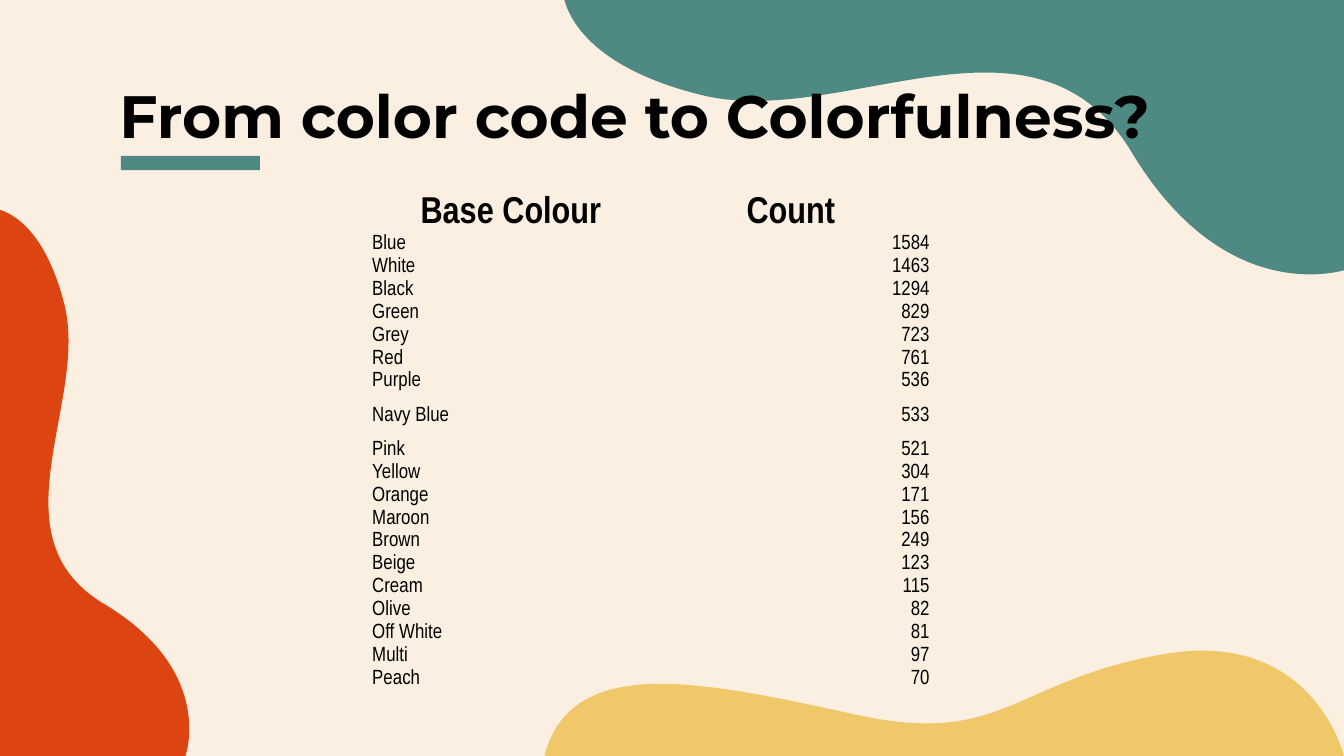
from dataclasses import dataclass

from lxml import etree
from pptx import Presentation
from pptx.dml.color import RGBColor
from pptx.enum import shapes, text
from pptx.oxml.ns import qn
from pptx.util import Pt


@dataclass(frozen=True)
class Theme:
    cream: RGBColor = RGBColor.from_string("FAEFE0")
    red: RGBColor = RGBColor.from_string("DC4412")
    yellow: RGBColor = RGBColor.from_string("F0C86A")
    teal: RGBColor = RGBColor.from_string("4E8983")
    ink: RGBColor = RGBColor.from_string("000000")
    title_font: str = "Montserrat"
    table_font: str = "Arial Narrow"
    title_size: int = 32
    header_size: int = 20
    body_size: int = 11


theme = Theme()
NO_TABLE_STYLE = "{2D5ABB26-0587-4C30-8999-92F81FD0307C}"


def bend_segments(shape, curve_count):
    """Turn each leading triple of line segments into one cubic curve."""
    lines = list(shape._element.iter(qn("a:lnTo")))
    for first in range(0, curve_count * 3, 3):
        triple = lines[first:first + 3]
        curve = etree.Element(qn("a:cubicBezTo"))
        triple[0].addprevious(curve)
        for line in triple:
            curve.append(line[0])
            line.getparent().remove(line)


def style_text(paragraph, font_name, size, bold):
    for run in paragraph.runs:
        run.font.name = font_name
        run.font.size = Pt(size)
        run.font.bold = bold
        run.font.color.rgb = theme.ink


presentation = Presentation()
presentation.slide_width, presentation.slide_height = Pt(720), Pt(405)
slide = presentation.slides.add_slide(presentation.slide_layouts[6])
slide.background.fill.solid()
slide.background.fill.fore_color.rgb = theme.cream

# Wavy blobs: colour, start, curves (two controls and an end each), closing corner
blobs = [
    (theme.red, (-4.3, 111.6), [
        ((-4.3, 111.6), (21.6, 111.6), (34.6, 163.4)),
        ((47.5, 215.3), (-4.3, 287.3), (55.4, 323.3)),
        ((115.9, 359.3), (99.4, 405), (99.4, 405)),
    ], (-4.3, 405)),
    (theme.yellow, (720, 405), [
        ((720, 405), (703.4, 336.2), (622.8, 350.6)),
        ((541.4, 365), (537.8, 401), (455.8, 382.3)),
        ((373.7, 364.3), (306, 350.6), (291.6, 405)),
    ], (720, 405)),
    (theme.teal, (301.7, -4.3), [
        ((301.7, -4.3), (302.4, 33.1), (376.6, 51.1)),
        ((452.2, 69.1), (554.4, -4.3), (606.2, 81.4)),
        ((658.1, 167.8), (722.9, 144), (722.9, 144)),
    ], (723.6, -4.3)),
]
filled_shapes = []
for colour, start, curves, corner in blobs:
    points = [start] + [point for curve in curves for point in curve] + [corner]
    outline = [(Pt(x), Pt(y)) for x, y in points]
    builder = slide.shapes.build_freeform(*outline[0])
    builder.add_line_segments(outline[1:], close=True)
    blob = builder.convert_to_shape()
    bend_segments(blob, len(curves))
    filled_shapes.append((blob, colour))

title_box = slide.shapes.add_textbox(Pt(56.9), Pt(35.3), Pt(607), Pt(45.4))
title_frame = title_box.text_frame
title_frame.word_wrap = True
title_frame.vertical_anchor = text.MSO_ANCHOR.TOP
title_frame.margin_left = title_frame.margin_right = Pt(7.2)
title_frame.margin_top = title_frame.margin_bottom = Pt(7.2)
title_frame.text = "From color code to Colorfulness?"
style_text(title_frame.paragraphs[0], theme.title_font, theme.title_size, True)

title_bar = slide.shapes.add_shape(
    shapes.MSO_SHAPE.RECTANGLE, Pt(64.8), Pt(83.5), Pt(74.4), Pt(7.7))
filled_shapes.append((title_bar, theme.teal))
for shape, colour in filled_shapes:
    shape.shadow.inherit = False
    shape.fill.solid()
    shape.fill.fore_color.rgb = colour
    shape.line.fill.background()

colour_counts = [
    ("Base Colour", "Count"),
    ("Blue", 1584), ("White", 1463), ("Black", 1294), ("Green", 829),
    ("Grey", 723), ("Red", 761), ("Purple", 536), ("Navy Blue", 533),
    ("Pink", 521), ("Yellow", 304), ("Orange", 171), ("Maroon", 156),
    ("Brown", 249), ("Beige", 123), ("Cream", 115), ("Olive", 82),
    ("Off White", 81), ("Multi", 97), ("Peach", 70),
]
ROW_HEIGHT = 12.24
TALL_ROWS = ("Base Colour", "Navy Blue")

table_frame = slide.shapes.add_table(
    len(colour_counts), 2, Pt(198.7), Pt(99.4), Pt(300), Pt(ROW_HEIGHT * 22))
table = table_frame.table
table.first_row = table.horz_banding = False
table_frame._element.find(".//" + qn("a:tableStyleId")).text = NO_TABLE_STYLE

for row_index, values in enumerate(colour_counts):
    is_header = row_index == 0
    table.rows[row_index].height = Pt(ROW_HEIGHT * (2 if values[0] in TALL_ROWS else 1))
    for column_index, value in enumerate(values):
        cell = table.cell(row_index, column_index)
        cell.fill.background()
        cell.vertical_anchor = text.MSO_ANCHOR.MIDDLE
        cell.margin_left = cell.margin_right = cell.margin_top = Pt(0.72)
        cell.margin_bottom = 0
        cell.text_frame.text = str(value)
        paragraph = cell.text_frame.paragraphs[0]
        paragraph.line_spacing = Pt(23.5 if is_header else 11.5)
        if is_header:
            paragraph.alignment = text.PP_ALIGN.CENTER
        else:
            paragraph.alignment = (text.PP_ALIGN.LEFT, text.PP_ALIGN.RIGHT)[column_index]
        size = theme.header_size if is_header else theme.body_size
        style_text(paragraph, theme.table_font, size, is_header)

presentation.save("out.pptx")
